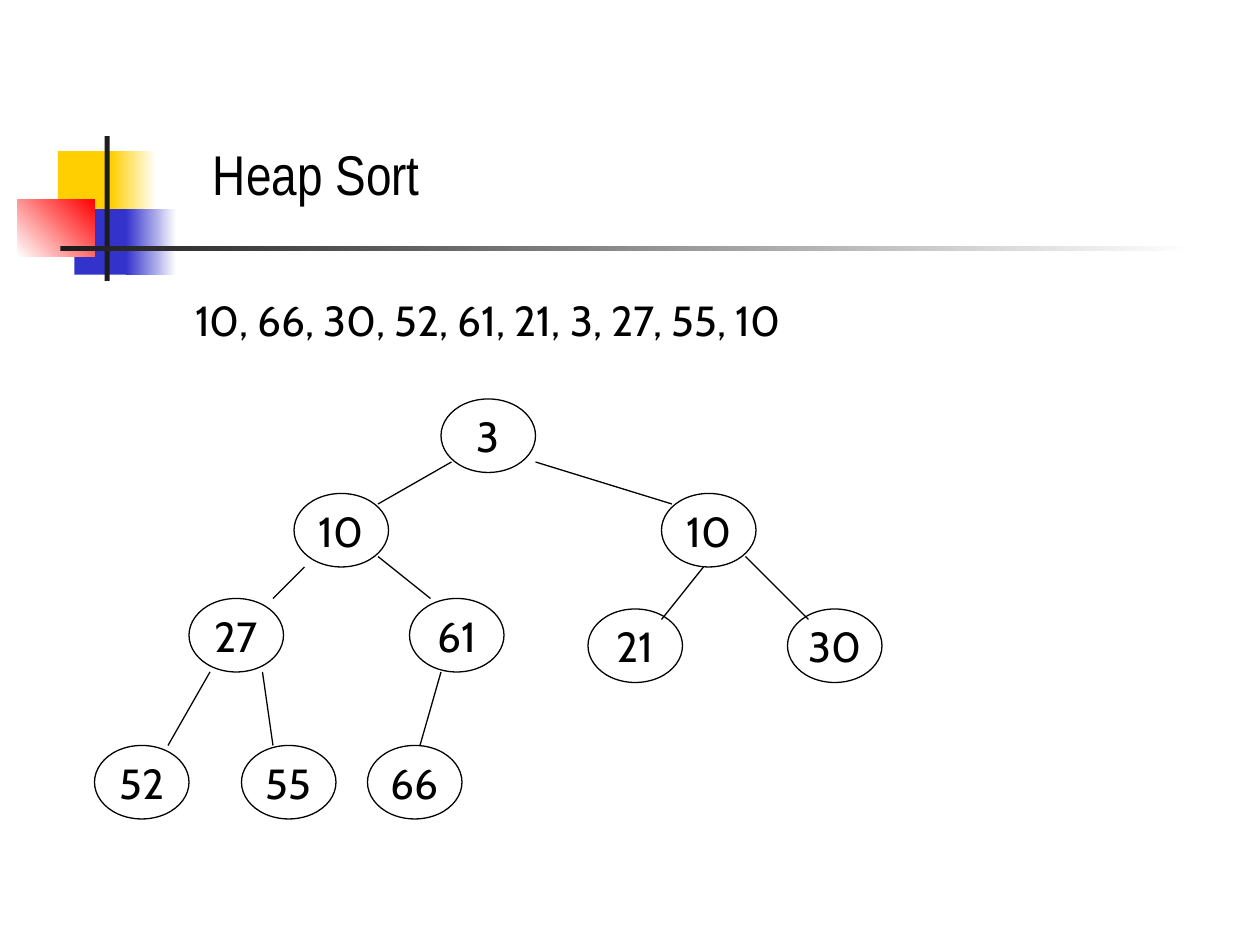
"""Build the heap sort slide: a heading, the input list and its binary min-heap."""
from dataclasses import dataclass

from lxml import etree
from pptx import Presentation
from pptx.dml.color import RGBColor
from pptx.enum.shapes import MSO_CONNECTOR, MSO_SHAPE
from pptx.enum.text import MSO_ANCHOR, MSO_AUTO_SIZE, PP_ALIGN
from pptx.oxml.ns import qn
from pptx.util import Inches, Pt

RECT, OVAL = MSO_SHAPE.RECTANGLE, MSO_SHAPE.OVAL
STRAIGHT = MSO_CONNECTOR.STRAIGHT
TOP, MIDDLE = MSO_ANCHOR.TOP, MSO_ANCHOR.MIDDLE
LEFT, CENTER = PP_ALIGN.LEFT, PP_ALIGN.CENTER
GROW, FIXED = MSO_AUTO_SIZE.SHAPE_TO_FIT_TEXT, MSO_AUTO_SIZE.NONE
TITLE_ONLY = 5


@dataclass(frozen=True)
class Theme:
    ink: str = "000000"
    paper: str = "FFFFFF"
    yellow: str = "FFCF01"
    blue: str = "3333CC"
    red: str = "FF0000"
    rule: str = "1C1C1C"
    title_font: str = "Arial Narrow"
    body_font: str = "Cabin"
    title_size: int = 32
    body_size: int = 24
    line: float = 0.75


T = Theme()
WIDTH, HEIGHT = 10, 7.5
COLS, ROWS = 120, 90
NODE_COLS, NODE_ROWS = 9, 7

TITLE = ("Heap Sort", (1.59, 1.06, 2, 0.64))
NUMBERS = ("10, 66, 30, 52, 61, 21, 3, 27, 55, 10", (1.45, 2.29, 5.4, 0.5))

ORNAMENT = [
    ((0.46, 1.2, 0.48, 0.52), [T.yellow], 0),
    ((0.88, 1.2, 0.36, 0.52), [T.yellow, T.paper], 0),
    ((0.59, 1.66, 0.46, 0.52), [T.blue], 0),
    ((1, 1.66, 0.4, 0.52), [T.blue, T.paper], 0),
    ((0.14, 1.58, 0.61, 0.46), [T.paper, T.red], 45),
    ((0.83, 1.08, 0.04, 1.15), [T.rule], 0),
    ((0.48, 1.95, 9, 0.04), [T.rule, T.paper], 0),
]

NODES = [
    ("3", 42, 38),
    ("10", 28, 47), ("27", 18, 57), ("61", 39, 57),
    ("52", 9, 71), ("55", 23, 71), ("66", 35, 71),
    ("10", 63, 47), ("21", 56, 58), ("30", 75, 58),
]

EDGES = [
    ((43, 44), (36, 48)), ((51, 44), (64, 48)),
    ((29, 54), (26, 57)), ((36, 53), (41, 57)),
    ((20, 64), (16, 71)), ((25, 64), (26, 71)), ((42, 64), (40, 71)),
    ((67, 54), (63, 59)), ((71, 53), (77, 59)),
]


def rgb(value):
    return RGBColor.from_string(value)


def grid(col, row):
    return Inches(WIDTH * col / COLS), Inches(HEIGHT * row / ROWS)


def place(shape, box):
    shape.left, shape.top, shape.width, shape.height = map(Inches, box)


def write(shape, text, font, size, align, anchor, auto_size):
    tf = shape.text_frame
    tf.word_wrap = False
    tf.auto_size = auto_size
    tf.vertical_anchor = anchor
    p = tf.paragraphs[0]
    p.alignment = align
    r = p.add_run()
    r.text = text
    r.font.name, r.font.size = font, Pt(size)
    r.font.color.rgb = rgb(T.ink)


def add_block(s, box, colors, angle):
    block = s.shapes.add_shape(RECT, *map(Inches, box))
    block.shadow.inherit = False
    block.line.fill.background()
    if len(colors) == 1:
        block.fill.solid()
        block.fill.fore_color.rgb = rgb(colors[0])
        return
    block.fill.gradient()
    block.fill.gradient_angle = angle
    for position, (stop, color) in enumerate(zip(block.fill.gradient_stops, colors)):
        stop.position = position
        stop.color.rgb = rgb(color)


def style_line(line):
    line.color.rgb = rgb(T.ink)
    line.width = Pt(T.line)


def add_node(s, label, col, row):
    node = s.shapes.add_shape(OVAL, *grid(col, row), *grid(NODE_COLS, NODE_ROWS))
    node.shadow.inherit = False
    node.fill.solid()
    node.fill.fore_color.rgb = rgb(T.paper)
    style_line(node.line)
    write(node, label, T.body_font, T.body_size, CENTER, MIDDLE, FIXED)


def add_edge(s, start, end):
    edge = s.shapes.add_connector(STRAIGHT, *grid(*start), *grid(*end))
    style_line(edge.line)
    etree.SubElement(edge._element.spPr, qn("a:effectLst"))


def main():
    prs = Presentation()
    prs.slide_width, prs.slide_height = Inches(WIDTH), Inches(HEIGHT)
    s = prs.slides.add_slide(prs.slide_layouts[TITLE_ONLY])
    for box, colors, angle in ORNAMENT:
        add_block(s, box, colors, angle)

    text, box = TITLE
    place(s.shapes.title, box)
    write(s.shapes.title, text, T.title_font, T.title_size, LEFT, TOP, GROW)
    text, box = NUMBERS
    numbers = s.shapes.add_textbox(*map(Inches, box))
    write(numbers, text, T.body_font, T.body_size, LEFT, TOP, GROW)

    for node in NODES:
        add_node(s, *node)
    for edge in EDGES:
        add_edge(s, *edge)
    prs.save("out.pptx")


if __name__ == "__main__":
    main()
